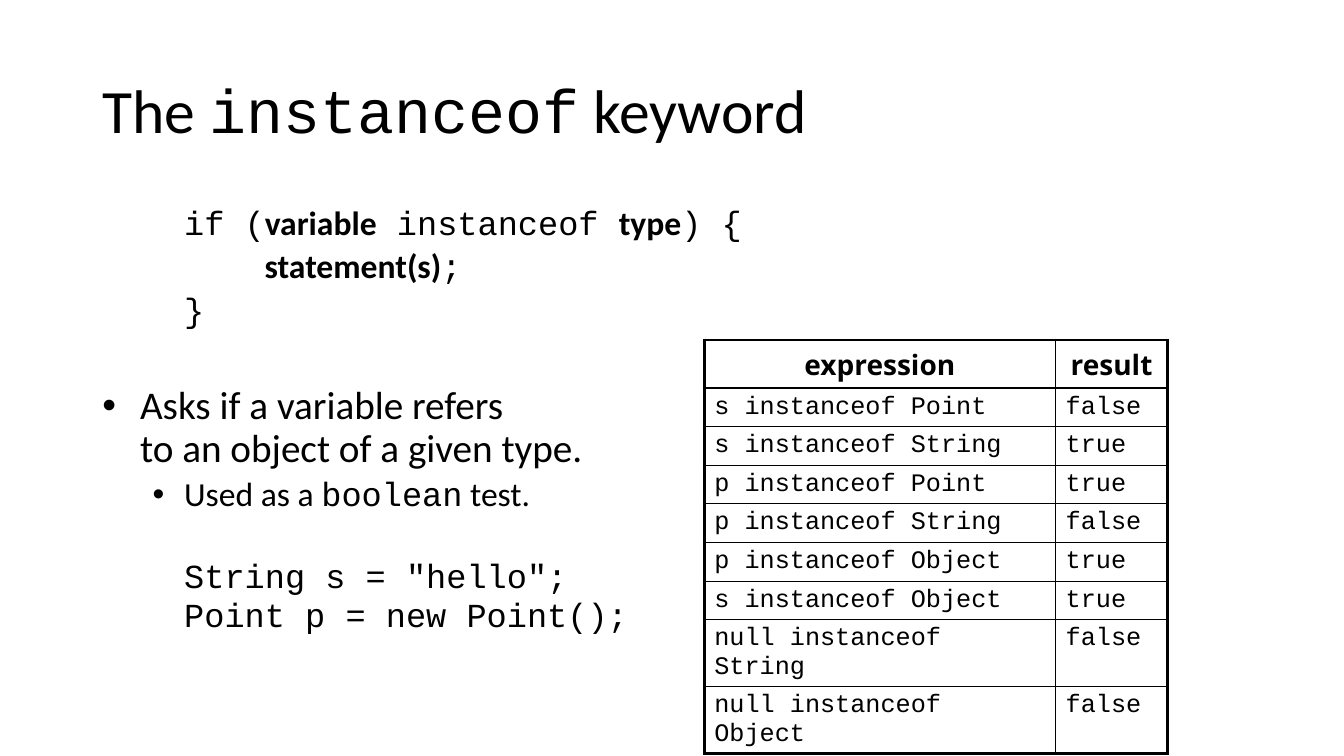
from lxml.etree import SubElement
from pptx import Presentation
from pptx.dml.color import RGBColor
from pptx.enum.text import MSO_ANCHOR as Anchor, MSO_AUTO_SIZE as AutoSize, PP_ALIGN as Align
from pptx.oxml.ns import qn
from pptx.util import Pt

BLACK = RGBColor(0x00, 0x00, 0x00)
SANS, CODE, HEADER = "Calibri", "Courier New", "Noto Sans"
THIN, THICK = Pt(1), Pt(2.25)
TITLE = [("The ", SANS), ("instanceof", CODE), (" keyword", SANS)]
CODE_LINE = {"size": 24, "left": 58.5, "before": 5, "spacing": 0.9}
SUB_BULLET = {**CODE_LINE, "hanging": 22.5}
BULLET = {"size": 28, "left": 27, "before": 40.5, "spacing": 0.9, "hanging": 27}
BODY = [
    ([("if (", CODE), ("variable", SANS, True), (" instanceof ", CODE),
      ("type", SANS, True), (") {", CODE)], CODE_LINE),
    ([("statement(s)", SANS, True), (";", CODE)], {**CODE_LINE, "left": 116}),
    ([("}", CODE)], CODE_LINE),
    ([("Asks if a variable refers\nto an object of a given type.", SANS)], BULLET),
    ([("Used as a ", SANS), ("boolean", CODE), (" test.", SANS)], SUB_BULLET),
    ([('String s = "hello";', CODE)], {**CODE_LINE, "before": 34.5, "spacing": 0.8}),
    ([("Point p = new Point();", CODE)], {**CODE_LINE, "spacing": 0.8}),
]
RESULTS = [
    ("expression", "result"),
    ("s instanceof Point", "false"),
    ("s instanceof String", "true"),
    ("p instanceof Point", "true"),
    ("p instanceof String", "false"),
    ("p instanceof Object", "true"),
    ("s instanceof Object", "true"),
    ("null instanceof String", "false"),
    ("null instanceof Object", "false"),
]
COLUMN_WIDTHS = [251, 80]
ROW_HEIGHTS = [34.4] + [27.6] * 6 + [47.7] * 2


def set_attributes(target, values):
    """Set every named attribute of the target."""
    for name, value in values.items():
        setattr(target, name, value)


def add_run(paragraph, text, font_name, size, bold=False):
    """Add formatted text, turning newlines into line breaks."""
    for index, line in enumerate(text.split("\n")):
        if index:
            paragraph.add_line_break()
        run = paragraph.add_run()
        run.text = line
        set_attributes(run.font, {"name": font_name, "size": Pt(size), "bold": bold})
        run.font.color.rgb = BLACK


def indent(paragraph, left, hanging):
    """Set the left margin and, for a hanging indent, a round bullet."""
    properties = paragraph._p.get_or_add_pPr()
    properties.set("marL", str(Pt(left)))
    properties.set("indent", str(-Pt(hanging)))
    if hanging:
        SubElement(properties, qn("a:buFont"), typeface="Arial")
        SubElement(properties, qn("a:buChar"), char="•")


def fill_title(slide, box):
    """Place the title and mix its text and code fonts."""
    title = slide.shapes.title
    set_attributes(title, dict(zip(("left", "top", "width", "height"), map(Pt, box))))
    set_attributes(title.text_frame, {"vertical_anchor": Anchor.MIDDLE, "word_wrap": True,
                                      "auto_size": AutoSize.NONE})
    paragraph = title.text_frame.paragraphs[0]
    set_attributes(paragraph, {"alignment": Align.LEFT, "line_spacing": 0.9})
    for text, font_name in TITLE:
        add_run(paragraph, text, font_name, 44)


def add_body(slide, box):
    """Add the syntax, the bullets and the sample declarations."""
    frame = slide.shapes.add_textbox(*map(Pt, box)).text_frame
    frame.word_wrap = True
    for index, (runs, style) in enumerate(BODY):
        paragraph = frame.add_paragraph() if index else frame.paragraphs[0]
        set_attributes(paragraph, {"alignment": Align.LEFT, "line_spacing": style["spacing"],
                                   "space_before": Pt(style["before"])})
        indent(paragraph, style["left"], style.get("hanging", 0))
        for text, font_name, *bold in runs:
            add_run(paragraph, text, font_name, style["size"], bool(bold))


def add_borders(cell, outer_edges):
    """Draw the four cell borders, thick on the table's outer edges."""
    properties = cell._tc.get_or_add_tcPr()
    for edge, is_outer in zip(("lnL", "lnR", "lnT", "lnB"), outer_edges):
        line = SubElement(properties, qn(f"a:{edge}"), w=str(THICK if is_outer else THIN))
        fill = SubElement(line, qn("a:solidFill"))
        SubElement(fill, qn("a:srgbClr"), val=str(BLACK))


def add_results(slide, left, top):
    """Add the table of expressions and their results."""
    size = sum(COLUMN_WIDTHS), sum(ROW_HEIGHTS)
    row_count, column_count = len(RESULTS), len(COLUMN_WIDTHS)
    table = slide.shapes.add_table(row_count, column_count,
                                   *map(Pt, (left, top, *size))).table
    set_attributes(table, {"first_row": False, "horz_banding": False})
    for column, width in zip(table.columns, COLUMN_WIDTHS):
        column.width = Pt(width)
    for row_index, (row, height) in enumerate(zip(table.rows, ROW_HEIGHTS)):
        row.height = Pt(height)
        is_header = row_index == 0
        for column_index, cell in enumerate(row.cells):
            add_borders(cell, (column_index == 0, column_index == column_count - 1,
                               is_header, row_index == row_count - 1))
            cell.fill.background()
            set_attributes(cell, {"margin_top": Pt(3.6), "margin_bottom": Pt(0)})
            paragraph = cell.text_frame.paragraphs[0]
            paragraph.alignment = Align.CENTER if is_header else Align.LEFT
            add_run(paragraph, RESULTS[row_index][column_index],
                    HEADER if is_header else CODE, 20 if is_header else 18, is_header)


def build_keyword_slide(presentation):
    """Build the slide on the instanceof keyword."""
    slide = presentation.slides.add_slide(presentation.slide_layouts[5])
    fill_title(slide, (66, 29, 828, 104))
    add_body(slide, (66, 144, 828, 343))
    add_results(slide, 503, 242.8)


def main():
    """Create and save the presentation."""
    presentation = Presentation()
    set_attributes(presentation, {"slide_width": Pt(960), "slide_height": Pt(540)})
    build_keyword_slide(presentation)
    presentation.save("out.pptx")


if __name__ == "__main__":
    main()
